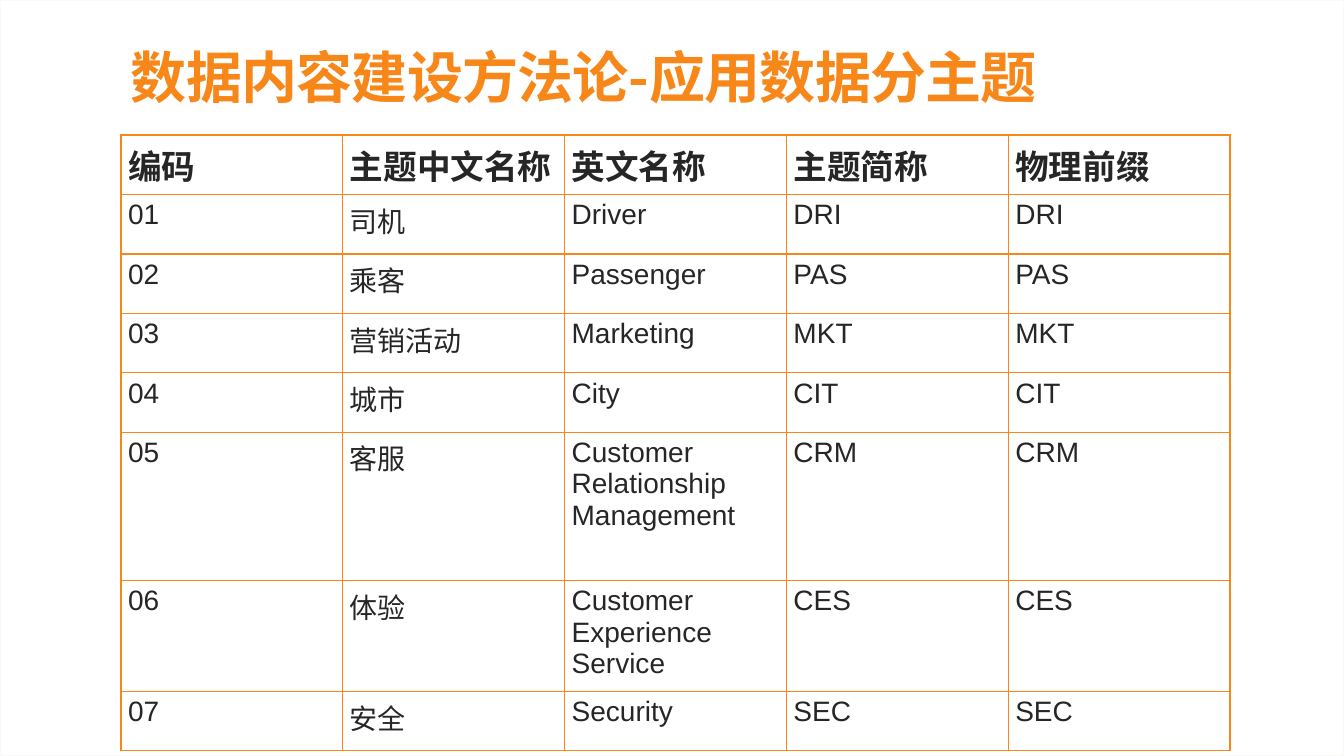
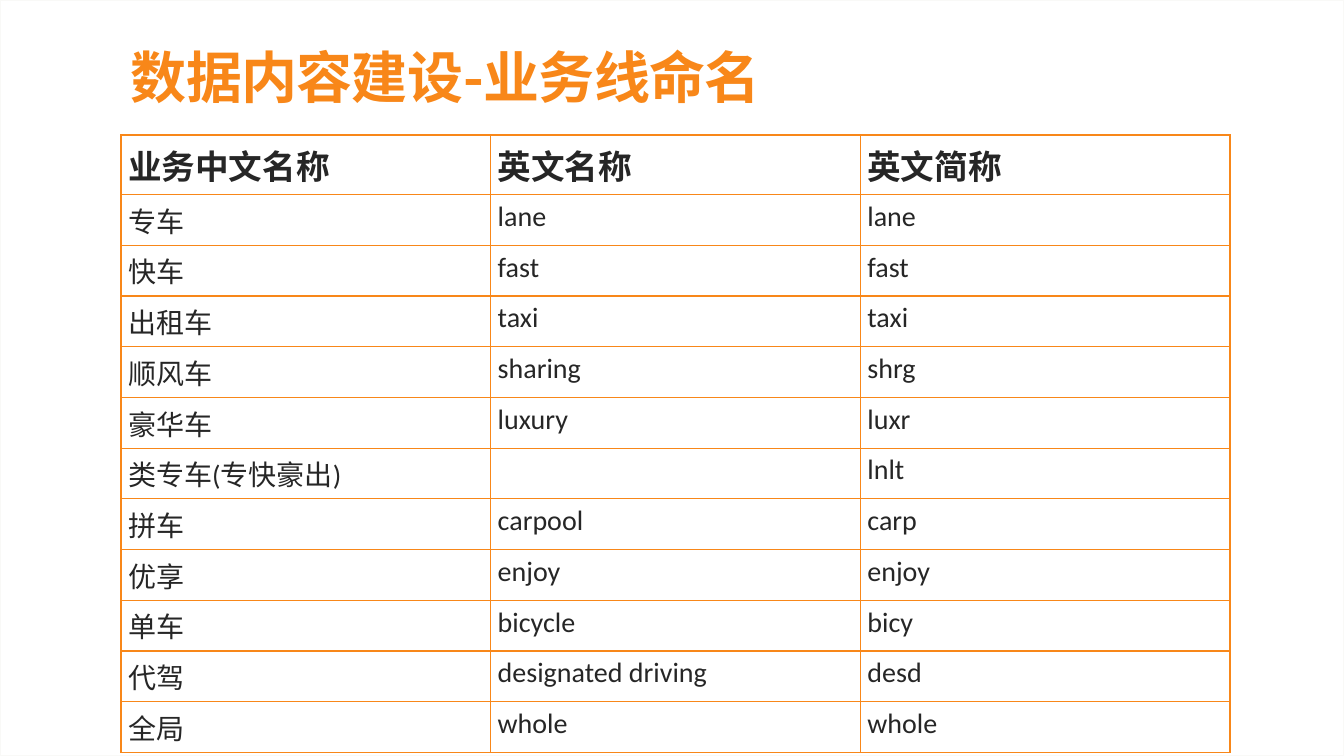
from dataclasses import dataclass

from lxml import etree
from pptx import Presentation
from pptx.dml.color import RGBColor
from pptx.enum.shapes import MSO_SHAPE
from pptx.enum.text import MSO_ANCHOR
from pptx.oxml.ns import qn
from pptx.util import Inches, Pt

RECTANGLE = MSO_SHAPE.RECTANGLE
BOTTOM = MSO_ANCHOR.BOTTOM
BORDER_SIDES = ("a:lnL", "a:lnR", "a:lnT", "a:lnB")
PAGE_WIDTH, PAGE_HEIGHT = 13.33, 7.5
LEFT, CONTENT_WIDTH = 1.2, 11
TABLE_TOP = 1.34
HEADER_HEIGHT = 0.59

TOPICS = [
    ("编码", "主题中文名称", "英文名称", "主题简称", "物理前缀"),
    ("01", "司机", "Driver", "DRI", "DRI"),
    ("02", "乘客", "Passenger", "PAS", "PAS"),
    ("03", "营销活动", "Marketing", "MKT", "MKT"),
    ("04", "城市", "City", "CIT", "CIT"),
    ("05", "客服", "Customer Relationship Management", "CRM", "CRM"),
    ("06", "体验", "Customer Experience Service", "CES", "CES"),
    ("07", "安全", "Security", "SEC", "SEC"),
]
TOPIC_HEIGHTS = [HEADER_HEIGHT] + [0.59] * 4 + [1.47, 1.04, 0.59]

BUSINESS_LINES = [
    ("业务中文名称", "英文名称", "英文简称"),
    ("专车", "lane", "lane"),
    ("快车", "fast", "fast"),
    ("出租车", "taxi", "taxi"),
    ("顺风车", "sharing", "shrg"),
    ("豪华车", "luxury", "luxr"),
    ("类专车(专快豪出)", "", "lnlt"),
    ("拼车", "carpool", "carp"),
    ("优享", "enjoy", "enjoy"),
    ("单车", "bicycle", "bicy"),
    ("代驾", "designated driving", "desd"),
    ("全局", "whole", "whole"),
]
BUSINESS_HEIGHTS = [HEADER_HEIGHT] + [6.04 / 12] * (len(BUSINESS_LINES) - 1)


@dataclass(frozen=True)
class Theme:
    accent: str = "F88719"
    ink: str = "262626"
    paper: str = "FFFFFF"
    backdrop: str = "F9F9F7"
    chinese_font: str = "Noto Sans CJK SC"
    title_size: int = 40
    header_size: int = 24
    body_size: int = 20
    line_width: int = 1


class DeckBuilder:
    def __init__(self, theme):
        self.theme = theme
        self.deck = Presentation()
        self.deck.slide_width = Inches(PAGE_WIDTH)
        self.deck.slide_height = Inches(PAGE_HEIGHT)
        self.page = None

    def paint(self, fill, color):
        fill.solid()
        fill.fore_color.rgb = RGBColor.from_string(color)

    def style(self, paragraph, font_name, size, color, bold):
        font = paragraph.font
        font.name, font.size, font.bold = font_name, Pt(size), bold
        self.paint(font.fill, color)
        properties = paragraph._p.pPr.find(qn("a:defRPr"))
        east_asian = etree.SubElement(properties, qn("a:ea"))
        east_asian.set("typeface", self.theme.chinese_font)
        return properties

    def add_page(self, title):
        theme = self.theme
        self.page = self.deck.slides.add_slide(self.deck.slide_layouts[6])
        self.paint(self.page.background.fill, theme.backdrop)
        panel = self.page.shapes.add_shape(
            RECTANGLE, 0, 0, Inches(PAGE_WIDTH), Inches(PAGE_HEIGHT))
        panel.shadow.inherit = False
        self.paint(panel.fill, theme.paper)
        self.paint(panel.line.fill, theme.backdrop)
        panel.line.width = Pt(theme.line_width)
        self.add_title(title)

    def add_title(self, text):
        theme = self.theme
        box = self.page.shapes.add_textbox(
            Inches(LEFT), Inches(0.31), Inches(CONTENT_WIDTH), Inches(0.83))
        frame = box.text_frame
        frame.word_wrap = True
        frame.vertical_anchor = BOTTOM
        paragraph = frame.paragraphs[0]
        paragraph.text = text
        paragraph.line_spacing = 0.85
        properties = self.style(
            paragraph, theme.chinese_font, theme.title_size, theme.accent, True)
        properties.set("spc", "-50")

    def add_table(self, rows, heights, font_name):
        theme = self.theme
        columns = len(rows[0])
        table = self.page.shapes.add_table(
            len(rows), columns, Inches(LEFT), Inches(TABLE_TOP),
            Inches(CONTENT_WIDTH), Inches(sum(heights))).table
        for column in table.columns:
            column.width = Inches(CONTENT_WIDTH / columns)
        for row_index, (values, height) in enumerate(zip(rows, heights)):
            table.rows[row_index].height = Inches(height)
            header = row_index == 0
            size = theme.header_size if header else theme.body_size
            for column_index, text in enumerate(values):
                cell = table.cell(row_index, column_index)
                cell.margin_left = cell.margin_right = Inches(0.07)
                cell.margin_top = cell.margin_bottom = Inches(0.05)
                self.paint(cell.fill, theme.paper)
                self.add_borders(cell)
                paragraph = cell.text_frame.paragraphs[0]
                paragraph.text = text
                self.style(paragraph, font_name, size, theme.ink, header)

    def add_borders(self, cell):
        properties = cell._tc.get_or_add_tcPr()
        for position, side in enumerate(BORDER_SIDES):
            border = etree.Element(qn(side), w=str(Pt(self.theme.line_width)))
            fill = etree.SubElement(border, qn("a:solidFill"))
            etree.SubElement(fill, qn("a:srgbClr"), val=self.theme.accent)
            properties.insert(position, border)


def main():
    builder = DeckBuilder(Theme())
    builder.add_page("数据内容建设方法论-应用数据分主题")
    builder.add_table(TOPICS, TOPIC_HEIGHTS, "Arial")
    builder.add_page("数据内容建设-业务线命名")
    builder.add_table(BUSINESS_LINES, BUSINESS_HEIGHTS, "Calibri")
    builder.deck.save("out.pptx")


if __name__ == "__main__":
    main()
